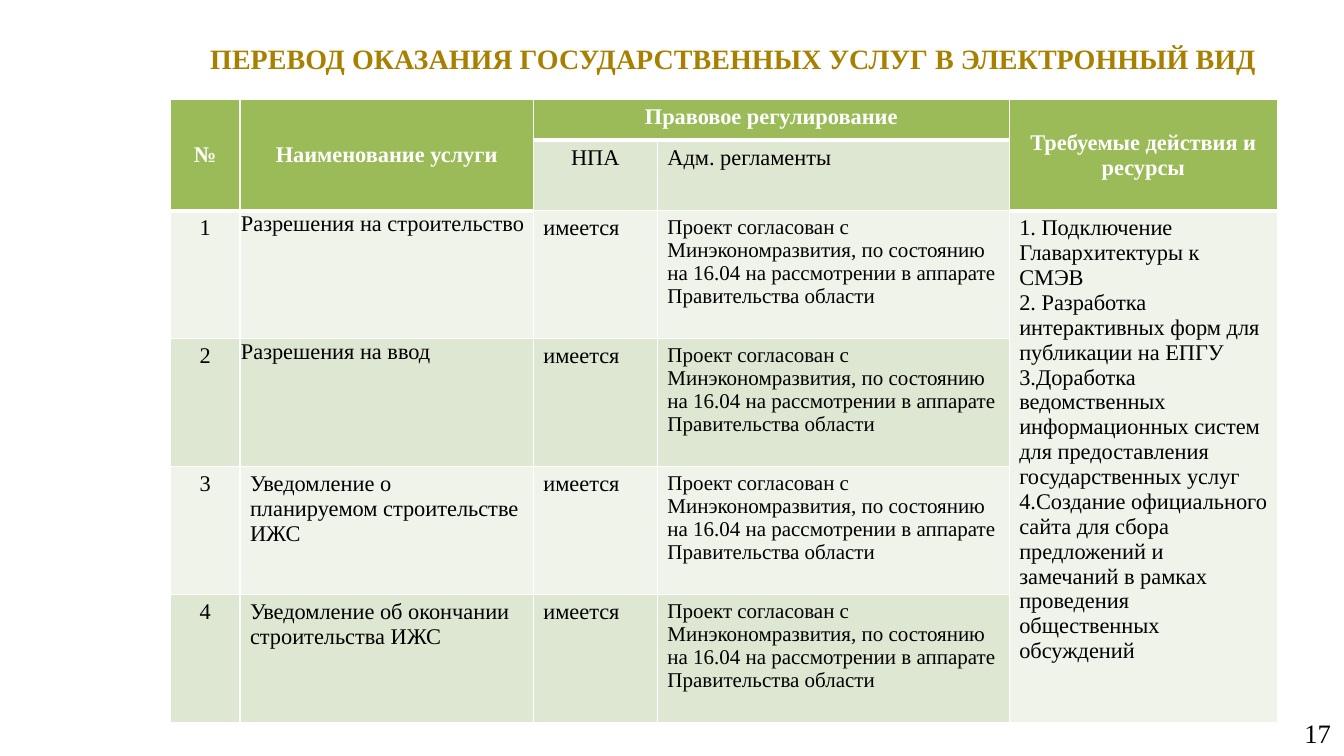
from lxml.etree import SubElement
from pptx import Presentation
from pptx.dml.color import RGBColor
from pptx.enum.text import MSO_ANCHOR, PP_ALIGN
from pptx.oxml.ns import qn
from pptx.util import Inches, Pt

FONT = "Times New Roman"
GOLD = RGBColor(0xA8, 0x80, 0x00)
GREEN = RGBColor(0x9B, 0xBB, 0x59)
PALE = RGBColor(0xEF, 0xF3, 0xEA)
SOFT = RGBColor(0xDE, 0xE7, 0xD1)
WHITE = RGBColor(0xFF, 0xFF, 0xFF)
BLACK = RGBColor(0, 0, 0)

TITLE = "ПЕРЕВОД ОКАЗАНИЯ ГОСУДАРСТВЕННЫХ УСЛУГ В ЭЛЕКТРОННЫЙ ВИД"
PAGE = "17"
HEADINGS = ["№", "Наименование услуги", "Правовое регулирование", "", "Требуемые действия и ресурсы"]
SUBHEADINGS = ["", "", "НПА", "Адм. регламенты", ""]
SERVICES = [
    "Разрешения на строительство",
    "Разрешения на ввод",
    "Уведомление о планируемом строительстве ИЖС",
    "Уведомление об окончании строительства ИЖС",
]
AVAILABLE = "имеется"
STATUS = (
    "Проект согласован с Минэкономразвития, по состоянию на 16.04 "
    "на рассмотрении в аппарате Правительства области"
)
ACTIONS = "\n".join([
    "1. Подключение Главархитектуры к СМЭВ",
    "2. Разработка интерактивных форм для публикации на ЕПГУ",
    "3.Доработка ведомственных информационных систем для предоставления государственных услуг",
    "4.Создание официального сайта для сбора предложений и замечаний в рамках проведения общественных обсуждений",
])
ROWS = [HEADINGS, SUBHEADINGS] + [
    [str(number), service, AVAILABLE, STATUS, ACTIONS if number == 1 else ""]
    for number, service in enumerate(SERVICES, 1)
]
COLUMN_WIDTHS = [0.69, 2.91, 1.23, 3.49, 2.66]
ROW_HEIGHTS = [0.4, 0.7] + [1.27] * len(SERVICES)
MERGES = [((0, 0), (1, 0)), ((0, 1), (1, 1)), ((0, 2), (0, 3)), ((0, 4), (1, 4)), ((2, 4), (5, 4))]
STATUS_COLUMN = 3
TIGHT_ROWS = (2, 3)


def style_text(frame, size, color, bold, alignment):
    for paragraph in frame.paragraphs:
        paragraph.alignment = alignment
        paragraph.font.name = FONT
        paragraph.font.size = Pt(size)
        paragraph.font.bold = bold
        paragraph.font.color.rgb = color


def add_text(slide, box, text, size, color, bold, alignment):
    frame = slide.shapes.add_textbox(*map(Inches, box)).text_frame
    frame.word_wrap = True
    frame.vertical_anchor = MSO_ANCHOR.MIDDLE
    frame.margin_left = frame.margin_right = Inches(0.13)
    frame.margin_top = frame.margin_bottom = Inches(0.07)
    frame.text = text
    style_text(frame, size, color, bold, alignment)


def add_borders(cell, heading):
    properties = cell._tc.get_or_add_tcPr()
    for side in ("lnL", "lnR", "lnT", "lnB"):
        width = Pt(3 if heading and side == "lnB" else 1)
        line = SubElement(properties, qn(f"a:{side}"), w=str(width))
        fill = SubElement(line, qn("a:solidFill"))
        SubElement(fill, qn("a:srgbClr"), val=str(WHITE))


def style_cell(cell, row, column):
    heading = row == 0 or (row == 1 and column in (0, 1, 4))
    add_borders(cell, heading)
    cell.fill.solid()
    cell.fill.fore_color.rgb = GREEN if heading else SOFT if row % 2 else PALE
    cell.text = ROWS[row][column]
    centered = heading or column == 0 or (row, column) == (1, 2)
    style_text(
        cell.text_frame,
        15 if row > 1 and column == STATUS_COLUMN else 16,
        WHITE if heading else BLACK,
        heading,
        PP_ALIGN.CENTER if centered else PP_ALIGN.LEFT,
    )
    if heading and column in (0, 1, 4):
        cell.vertical_anchor = MSO_ANCHOR.MIDDLE
    if column == 1 and row in TIGHT_ROWS:
        cell.margin_left = cell.margin_right = cell.margin_top = Inches(0.01)
        cell.margin_bottom = 0


def add_services(slide):
    box = (1.69, 0.99, sum(COLUMN_WIDTHS), sum(ROW_HEIGHTS))
    frame = slide.shapes.add_table(len(ROWS), len(COLUMN_WIDTHS), *map(Inches, box))
    table = frame.table
    table.first_row = table.horz_banding = False
    for column, width in zip(table.columns, COLUMN_WIDTHS):
        column.width = Inches(width)
    for row, height in zip(table.rows, ROW_HEIGHTS):
        row.height = Inches(height)
    for start, end in MERGES:
        table.cell(*start).merge(table.cell(*end))
    for row in range(len(ROWS)):
        for column in range(len(COLUMN_WIDTHS)):
            style_cell(table.cell(row, column), row, column)


def main():
    presentation = Presentation()
    presentation.slide_width = Inches(13.33)
    presentation.slide_height = Inches(7.5)
    slide = presentation.slides.add_slide(presentation.slide_layouts[6])
    add_text(slide, (10.22, 7.07, 3.11, 0.4), PAGE, 19, BLACK, False, PP_ALIGN.RIGHT)
    add_text(slide, (1.55, 0.08, 11.44, 1), TITLE, 20, GOLD, True, PP_ALIGN.CENTER)
    add_services(slide)
    presentation.save("out.pptx")


if __name__ == "__main__":
    main()
